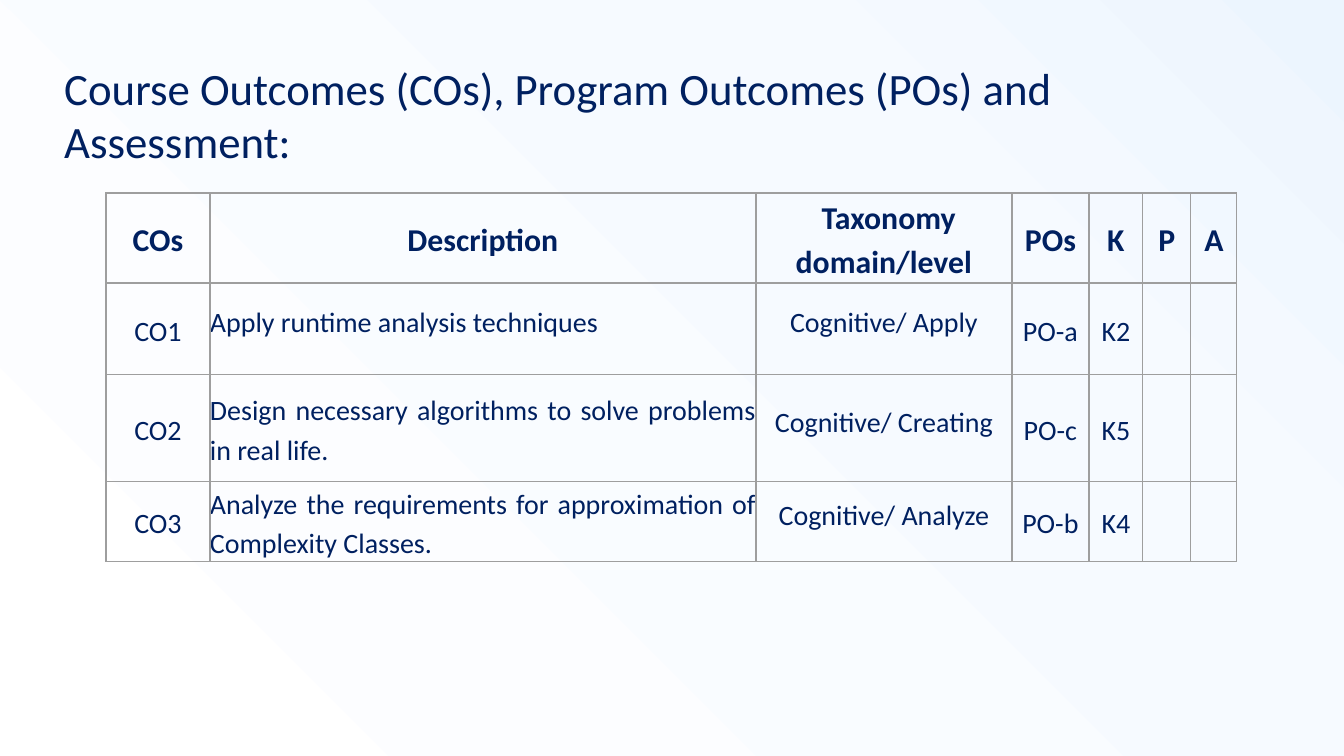
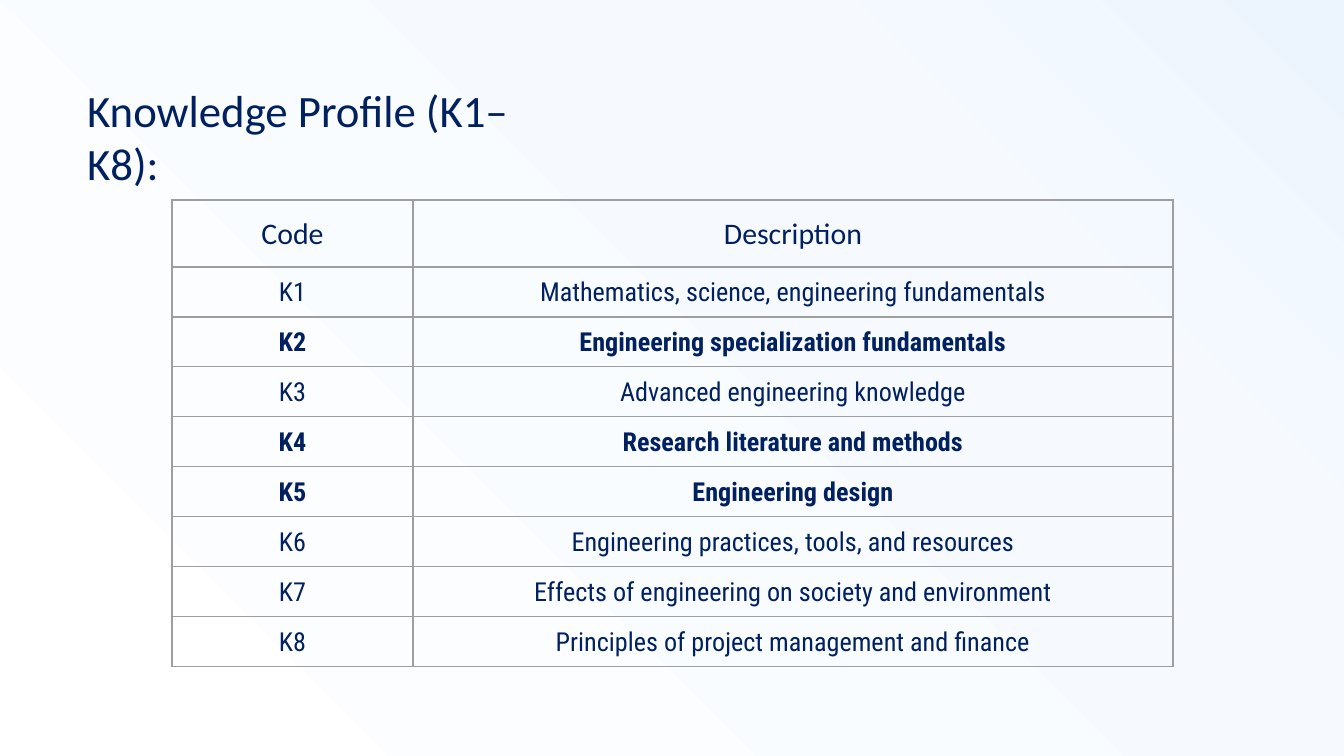
from lxml import etree
from pptx import Presentation, util as u
from pptx.dml.color import RGBColor
from pptx.enum.text import MSO_ANCHOR, PP_ALIGN
from pptx.oxml import parse_xml

# Theme
THEME = {
    "ink": "002060", "rule": "9E9E9E", "rule_pt": 0.75,
    "glow": [(0, "ECF5FE"), (29, "F6FAFF"), (99, "FFFFFF")],
    "title": {"name": "Calibri", "size": u.Pt(24)},
    "co_head": {"name": "Calibri", "size": u.Pt(17), "bold": True},
    "co_body": {"name": "Calibri", "size": u.Pt(15), "bold": False},
    "k_head": {"name": "Calibri", "size": u.Pt(16), "bold": False},
    "k_body": {"name": "Roboto Condensed", "size": u.Pt(14), "bold": False},
}
NS = "http://schemas.openxmlformats.org/drawingml/2006/main"
PX = 914400 / 134.4
TIGHT = u.Pt(12.4)

# Content
OUTCOMES = [
    ("COs", "Description", "Taxonomy domain/level", "POs", "K", "P", "A"),
    ("CO1", "Apply runtime analysis techniques", "Cognitive/ Apply", "PO-a", "K2", "", ""),
    ("CO2", "Design necessary algorithms to solve problems in real life.",
     "Cognitive/ Creating", "PO-c", "K5", "", ""),
    ("CO3", "Analyze the requirements for approximation of Complexity Classes.",
     "Cognitive/ Analyze", "PO-b", "K4", "", ""),
]
PROFILE = [
    ("Code", "Description"),
    ("K1", "Mathematics, science, engineering fundamentals"),
    ("K2", "Engineering specialization fundamentals"),
    ("K3", "Advanced engineering knowledge"),
    ("K4", "Research literature and methods"),
    ("K5", "Engineering design"),
    ("K6", "Engineering practices, tools, and resources"),
    ("K7", "Effects of engineering on society and environment"),
    ("K8", "Principles of project management and finance"),
]
USED = {"K2", "K4", "K5"}


def px(n):
    return u.Emu(round(n * PX))


def style(font, form):
    for key, val in form.items():
        setattr(font, key, val)
    font.color.rgb = RGBColor.from_string(THEME["ink"])


# Shared background
def paint(master):
    master.background.fill.solid()
    stops = "".join(f'<a:gs pos="{at * 1000}"><a:srgbClr val="{hue}"/></a:gs>'
                    for at, hue in THEME["glow"])
    grad = parse_xml(f'<a:gradFill xmlns:a="{NS}" rotWithShape="1"><a:gsLst>{stops}</a:gsLst>'
                     '<a:path path="circle"><a:fillToRect l="100000" b="100000"/></a:path>'
                     '</a:gradFill>')
    flat = master.element.find(f".//{{{NS}}}solidFill")
    flat.getparent().replace(flat, grad)


def title(slide, words, left, top, width):
    frame = slide.shapes.add_textbox(px(left), px(top), px(width), px(84)).text_frame
    frame.word_wrap = True
    for side in ("left", "right", "top", "bottom"):
        setattr(frame, f"margin_{side}", u.Inches(0.1))
    para = frame.paragraphs[0]
    para.text = words
    style(para.font, THEME["title"])
    style(para.runs[0].font, THEME["title"])


# Clear cell with a thin rule on all sides
def frame_cell(cell, pad):
    cell.fill.background()
    cell.vertical_anchor = MSO_ANCHOR.MIDDLE
    for side in ("left", "right", "top", "bottom"):
        setattr(cell, f"margin_{side}", px(pad))
    props = cell._tc.get_or_add_tcPr()
    for i, side in enumerate("LRTB"):
        line = etree.Element(f"{{{NS}}}ln{side}", w=str(u.Pt(THEME["rule_pt"])))
        fill = etree.SubElement(line, f"{{{NS}}}solidFill")
        etree.SubElement(fill, f"{{{NS}}}srgbClr", val=THEME["rule"])
        props.insert(i, line)


def grid(slide, data, left, top, cols, rows, pad, look):
    table = slide.shapes.add_table(len(rows), len(cols), px(left), px(top),
                                   px(sum(cols)), px(sum(rows))).table
    table.first_row = table.horz_banding = False
    for col, wide in zip(table.columns, cols):
        col.width = px(wide)
    for row, high in zip(table.rows, rows):
        row.height = px(high)
    for r, line in enumerate(data):
        for c, words in enumerate(line):
            cell = table.cell(r, c)
            frame_cell(cell, pad)
            form, align, space = look(r, c)
            para = cell.text_frame.paragraphs[0]
            para.alignment, para.line_spacing = align, space
            style(para.font, form)
            if words:
                para.text = words
                style(para.runs[0].font, form)
    return table


def co_look(r, c):
    form = THEME["co_body" if r else "co_head"]
    align = PP_ALIGN.JUSTIFY if r and c == 1 else PP_ALIGN.CENTER
    tight = r and c == 2 or (r, c) == (1, 1)
    return form, align, TIGHT if tight else 1.15


def k_look(r, c):
    form = THEME["k_body" if r else "k_head"]
    return {**form, "bold": PROFILE[r][0] in USED}, PP_ALIGN.CENTER, 1.07


def main():
    prs = Presentation()
    prs.slide_width, prs.slide_height = px(1344), px(756)
    paint(prs.slide_master)
    blank = prs.slide_layouts[6]

    # Course outcomes
    slide = prs.slides.add_slide(blank)
    title(slide, "Course Outcomes (COs), Program Outcomes (POs) and Assessment:", 51, 47, 1247)
    table = grid(slide, OUTCOMES, 106, 193, [104, 546, 256, 77, 54, 48, 46],
                 [90, 92, 107, 80], 0, co_look)
    level = table.cell(0, 2).text_frame.paragraphs[0]
    level._p.get_or_add_pPr().set("indent", str(u.Inches(0.07)))

    # Knowledge profile
    slide = prs.slides.add_slide(blank)
    title(slide, "Knowledge Profile (K1–K8):", 74, 69, 516)
    grid(slide, PROFILE, 172, 200, [241, 760], [67] + [50] * 8, 1, k_look)

    prs.save("out.pptx")


if __name__ == "__main__":
    main()
